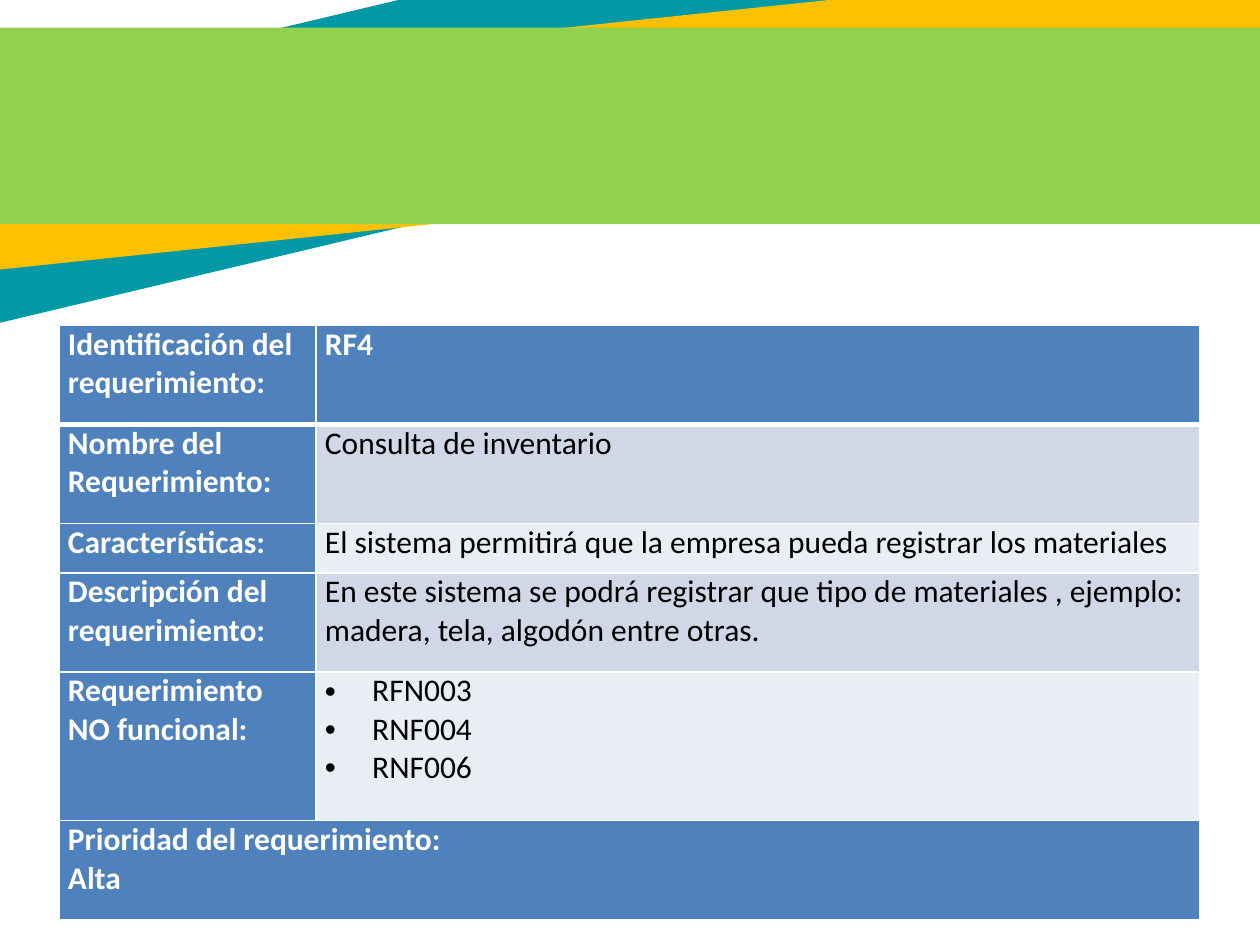
from lxml.etree import SubElement, Element
from pptx import Presentation
from pptx.dml.color import RGBColor
from pptx.enum.shapes import MSO_SHAPE as Shape
from pptx.enum.text import PP_ALIGN as Align
from pptx.oxml.ns import qn
from pptx.util import Pt

COLORS = {"teal": "0099A5", "amber": "FFC000", "green": "92D050", "blue": "4F81BD",
          "band_dark": "D0D8E8", "band_light": "E9EDF4", "white": "FFFFFF", "black": "000000"}


def color(name):
    return RGBColor.from_string(COLORS[name])


def add_borders(cell, widths):
    """Put white borders before the cell fill, in schema order."""
    props = cell._tc.get_or_add_tcPr()
    for index, (side, width) in enumerate(widths.items()):
        line = Element(qn(f"a:ln{side}"), w=str(Pt(width)))
        fill = SubElement(line, qn("a:solidFill"))
        SubElement(fill, qn("a:srgbClr"), val=COLORS["white"])
        props.insert(index, line)


deck = Presentation()
deck.slide_width, deck.slide_height = Pt(720), Pt(540)
page = deck.slides.add_slide(deck.slide_layouts[6])

# Crossed header bands: left, top, width, height, rotation, colour
bands = [
    (-180.72, -12.96, 940.32, 126.72, 346.6, "teal"),
    (-79.2, 14.4, 837.36, 103.68, 354, "amber"),
    (-76.32, 15.84, 837.36, 112.32, 0, "green"),
]
for *frame, rotation, name in bands:
    band = page.shapes.add_shape(Shape.RECTANGLE, *map(Pt, frame))
    band.rotation = rotation
    band.shadow.inherit = False
    band.fill.solid()
    band.fill.fore_color.rgb = color(name)
    band.line.fill.background()

# Requirement rows: height in units, label, value paragraphs
requirements = [
    (2, ["Identificación del requerimiento:"], ["RF4"]),
    (2, ["Nombre del Requerimiento:"], ["Consulta de inventario"]),
    (1, ["Características:"],
     ["El sistema permitirá que la empresa pueda registrar los materiales"]),
    (2, ["Descripción del requerimiento:"],
     ["En este sistema se podrá registrar que tipo de materiales , ejemplo: "
      "madera, tela, algodón entre otras."]),
    (3, ["Requerimiento NO funcional:"], ["RFN003", "RNF004", "RNF006"]),
    (2, ["Prioridad del requerimiento:", "Alta"], []),
]
ROW_UNIT = 28.32
LAST = len(requirements) - 1
units = sum(row[0] for row in requirements)
table = page.shapes.add_table(len(requirements), 2, Pt(33.84), Pt(185.76),
                              Pt(651.6), Pt(units * ROW_UNIT)).table
for column, width in zip(table.columns, (146.88, 504.72)):
    column.width = Pt(width)
table.cell(LAST, 0).merge(table.cell(LAST, 1))

margins = {"margin_left": Pt(5), "margin_right": Pt(5), "margin_top": 0, "margin_bottom": 0}
for r, (height, *texts) in enumerate(requirements):
    table.rows[r].height = Pt(height * ROW_UNIT)
    for c, lines in enumerate(texts):
        cell = table.cell(r, c)
        strong = c == 0 or r == 0
        for key, value in margins.items():
            setattr(cell, key, value)
        cell.fill.solid()
        cell.fill.fore_color.rgb = color(
            "blue" if strong or r == LAST else "band_dark" if r % 2 else "band_light")
        add_borders(cell, {"L": 1, "R": 1, "T": 3 if r == 1 else 1, "B": 3 if r == 0 else 1})

        if lines:
            cell.text = "\n".join(lines)
        for para in cell.text_frame.paragraphs:
            if c == 1 and len(lines) > 1:
                props = para._p.get_or_add_pPr()
                props.set("marL", str(Pt(27)))
                props.set("indent", str(Pt(-27)))
                SubElement(props, qn("a:buFont"), typeface="Arial")
                SubElement(props, qn("a:buChar"), char="•")
            for key, value in {"name": "Calibri", "size": Pt(18), "bold": strong}.items():
                for span in para.runs:
                    setattr(span.font, key, value)
            for span in para.runs:
                span.font.color.rgb = color("white" if strong else "black")
table.cell(2, 1).text_frame.paragraphs[0].alignment = Align.JUSTIFY

deck.save("out.pptx")
